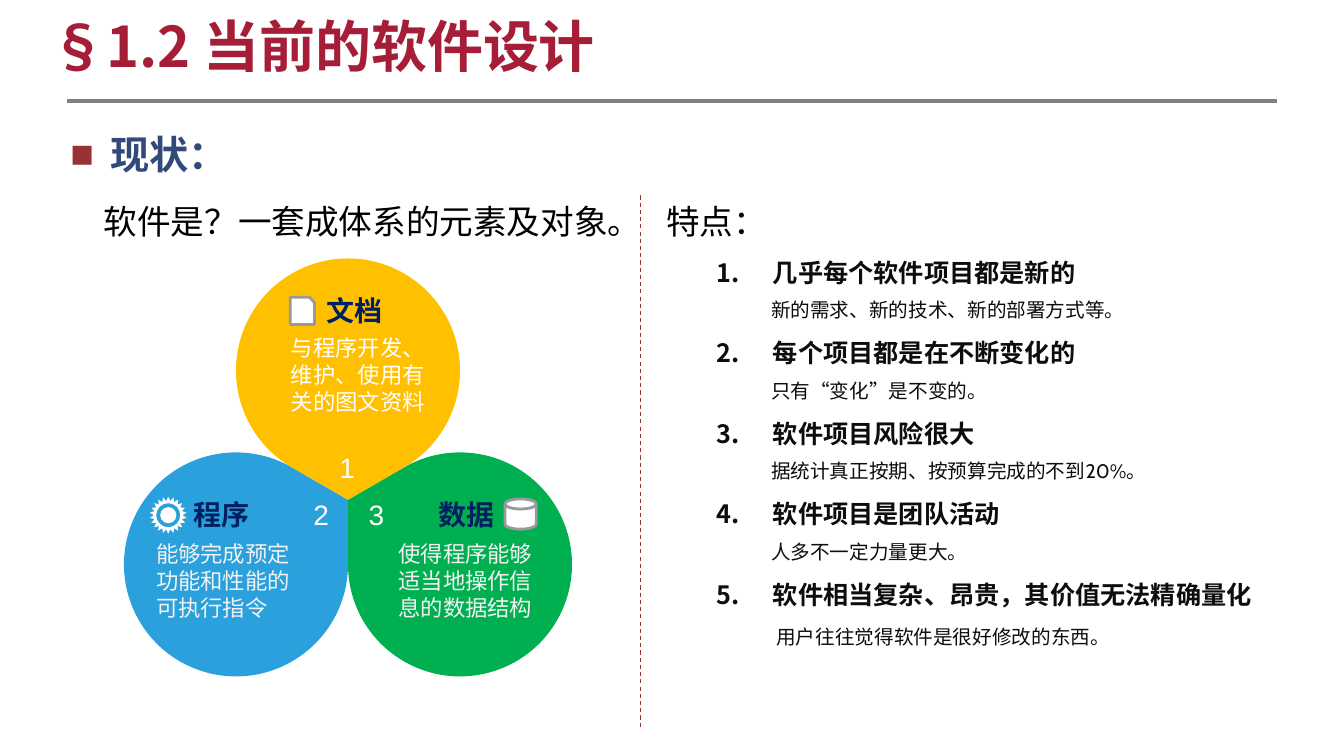
from math import cos, radians, sin, tan

from pptx import Presentation
from pptx.dml.color import RGBColor
from pptx.enum.dml import MSO_LINE
from pptx.enum.shapes import MSO_CONNECTOR, MSO_SHAPE
from pptx.oxml.ns import qn
from pptx.oxml.xmlchemy import OxmlElement
from pptx.util import Pt

STRAIGHT = MSO_CONNECTOR.STRAIGHT
DASH = MSO_LINE.DASH
OVAL = MSO_SHAPE.OVAL
DISK = MSO_SHAPE.FLOWCHART_MAGNETIC_DISK
CARD = MSO_SHAPE.FLOWCHART_CARD

WHITE = RGBColor(0xFF, 0xFF, 0xFF)
PALE = RGBColor(0xF2, 0xF2, 0xF2)
BLACK = RGBColor(0x00, 0x00, 0x00)
INK = RGBColor(0x0D, 0x0D, 0x0D)
GREY = RGBColor(0x80, 0x80, 0x80)
ICON_GREY = RGBColor(0x99, 0x99, 0x99)
RED = RGBColor(0xA6, 0x1D, 0x38)
BRICK = RGBColor(0x99, 0x33, 0x33)
SLATE = RGBColor(0x32, 0x4A, 0x7A)
NAVY = RGBColor(0x00, 0x20, 0x60)
GREEN = RGBColor(0x00, 0xB0, 0x50)
BLUE = RGBColor(0x2A, 0xA1, 0xDC)
AMBER = RGBColor(0xFF, 0xC0, 0x00)

SANS = "Noto Sans CJK SC"
SERIF = "Times New Roman"

deck = Presentation()
deck.slide_width, deck.slide_height = Pt(960), Pt(540)
page = deck.slides.add_slide(deck.slide_layouts[6])


def add_box(left, top, width, height):
    """Add a wrapping text box and return its text frame."""
    frame = page.shapes.add_textbox(Pt(left), Pt(top), Pt(width), Pt(height)).text_frame
    frame.word_wrap = True
    return frame


def write(para, text, size, colour, spacing, font=SANS, bold=False):
    """Write one run into a paragraph with a fixed line height."""
    para.line_spacing = Pt(spacing)
    span = para.add_run()
    span.text = text
    span.font.size = Pt(size)
    span.font.bold = bold
    span.font.name = font
    span.font.color.rgb = colour
    east_asian = OxmlElement("a:ea")
    east_asian.set("typeface", SANS)
    span.font._element.append(east_asian)


# Rules
for x1, y1, x2, y2, colour, width, dash in [
    (48, 72, 912, 72, GREY, 3, None),
    (457.3, 139.6, 457.3, 519, BRICK, 0.75, DASH),
]:
    rule = page.shapes.add_connector(STRAIGHT, Pt(x1), Pt(y1), Pt(x2), Pt(y2))
    rule.line.color.rgb = colour
    rule.line.width = Pt(width)
    if dash:
        rule.line.dash_style = dash
    rule._element.spPr.append(OxmlElement("a:effectLst"))

# Headings
title = add_box(29, 20.5, 577, 52.5)
write(title.paragraphs[0], "§1.2 当前的软件设计", 40, RED, 32, bold=True)

status = add_box(43.2, 73, 864, 412).paragraphs[0]
properties = status._p.get_or_add_pPr()
properties.set("marL", str(Pt(28.8)))
properties.set("indent", str(Pt(-28.8)))
bullet_colour = OxmlElement("a:buClr")
bullet_rgb = OxmlElement("a:srgbClr")
bullet_rgb.set("val", str(BRICK))
bullet_colour.append(bullet_rgb)
bullet_font = OxmlElement("a:buFont")
bullet_font.set("typeface", "Arial")
bullet = OxmlElement("a:buChar")
bullet.set("char", "■")
for part in (bullet_colour, bullet_font, bullet):
    properties.append(part)
write(status, "现状：", 28, SLATE, 50, bold=True)

write(add_box(67, 125, 413, 133).paragraphs[0],
      "软件是？一套成体系的元素及对象。", 24, BLACK, 43.8)

# Three touching circles, each drawn out to a point at the shared hub,
# and a gear with a round hole; round parts are Bezier curves
HUB_X, HUB_Y, RADIUS = 248.6, 357, 80
GEAR_X, GEAR_Y, TEETH = 120.2, 368, 22
REACH = RADIUS / cos(radians(30))
rim = []
for step in range(2 * TEETH):
    reach, angle = (10.2, 13.2)[step % 2], radians(180 / TEETH * step)
    rim.append((GEAR_X + reach * cos(angle), GEAR_Y + reach * sin(angle)))

rounds = [
    (HUB_X + REACH * cos(radians(direction)), HUB_Y + REACH * sin(radians(direction)),
     RADIUS, [direction + turn for turn in (-150, -90, 0, 90, 150)],
     [(HUB_X, HUB_Y)], [], fill)
    for direction, fill in [(30, GREEN), (150, BLUE), (270, AMBER)]
]
rounds.append((GEAR_X, GEAR_Y, 8.6, [360, 270, 180, 90, 0], [], rim, WHITE))

for center_x, center_y, radius, angles, tail, outer, fill in rounds:
    arc = [(center_x + radius * cos(radians(angles[0])),
            center_y + radius * sin(radians(angles[0])))]
    for start, end in zip(angles, angles[1:]):
        pull = 4 / 3 * tan(radians(end - start) / 4)
        for angle, along in [(start, pull), (end, -pull), (end, 0)]:
            x, y = cos(radians(angle)), sin(radians(angle))
            arc.append((center_x + radius * (x - along * y),
                        center_y + radius * (y + along * x)))
    contours = [[(Pt(x), Pt(y)) for x, y in contour]
                for contour in (outer, arc + tail) if contour]
    builder = page.shapes.build_freeform(*contours[0][0], scale=1.0)
    builder.add_line_segments(contours[0][1:], close=True)
    for contour in contours[1:]:
        builder.move_to(*contour[0])
        builder.add_line_segments(contour[1:], close=True)
    outline = builder.convert_to_shape()
    segments = list(outline._element.iter(qn("a:lnTo")))
    first = max(len(outer) - 1, 0)
    for index in range(first, first + len(arc) - 1, 3):
        curve = OxmlElement("a:cubicBezTo")
        segments[index].addprevious(curve)
        for segment in segments[index:index + 3]:
            curve.append(segment[0])
            segment.getparent().remove(segment)
    outline.shadow.inherit = False
    outline.fill.solid()
    outline.fill.fore_color.rgb = fill
    outline.line.fill.background()

# Icons
for kind, left, top, width, height, bordered in [
    (OVAL, GEAR_X - 5.8, GEAR_Y - 5.8, 11.6, 11.6, False),
    (DISK, 360.7, 356.4, 22.3, 21.6, True),
    (CARD, 207.4, 212.4, 17.3, 19.4, True),
]:
    icon = page.shapes.add_shape(kind, Pt(left), Pt(top), Pt(width), Pt(height))
    icon.shadow.inherit = False
    icon.fill.solid()
    icon.fill.fore_color.rgb = WHITE
    if bordered:
        icon.line.color.rgb = ICON_GREY
        icon.line.width = Pt(2)
    else:
        icon.line.fill.background()
    if kind == CARD:
        icon._element.spPr.find(qn("a:xfrm")).set("flipH", "1")

# Circle texts
for label, left, top, width, colour, font, bold in [
    ("1", 235.4, 318, 34.6, WHITE, "Arial", False),
    ("2", 216.7, 352, 34.6, WHITE, "Arial", False),
    ("3", 256.3, 352, 34.6, WHITE, "Arial", False),
    ("文档", 226, 206, 116, NAVY, SERIF, True),
    ("程序", 131, 352, 69, NAVY, SERIF, True),
    ("数据", 306, 352, 116, NAVY, SERIF, True),
]:
    write(add_box(left, top, width, 31.7).paragraphs[0], label, 20, colour, 24, font, bold)

for text, left, top, width, height, colour in [
    ("与程序开发、维护、使用有关的图文资料", 200.7, 235.2, 111, 65.5, WHITE),
    ("能够完成预定功能和性能的可执行指令", 104.4, 382.2, 119.5, 54, PALE),
    ("使得程序能够适当地操作信息的数据结构", 277.5, 382.2, 119.5, 54, PALE),
]:
    write(add_box(left, top, width, height).paragraphs[0], text, 16, colour, 19.2, SERIF)

# Features
features = [
    ("几乎每个软件项目都是新的", "新的需求、新的技术、新的部署方式等。"),
    ("每个项目都是在不断变化的", "只有“变化”是不变的。"),
    ("软件项目风险很大", "据统计真正按期、按预算完成的不到20%。"),
    ("软件项目是团队活动", "人多不一定力量更大。"),
    ("软件相当复杂、昂贵，其价值无法精确量化", "用户往往觉得软件是很好修改的东西。"),
]
frame = add_box(468.7, 125, 455, 384)
write(frame.paragraphs[0], "特点：", 24, BLACK, 43.8)
for heading, detail in features:
    para = frame.add_paragraph()
    para.level = 1
    properties = para._p.get_or_add_pPr()
    properties.set("marL", str(Pt(76.3)))
    properties.set("indent", str(Pt(-40.3)))
    number = OxmlElement("a:buAutoNum")
    number.set("type", "arabicPeriod")
    properties.append(number)
    write(para, heading, 18, INK, 32.8, "Cabin", True)

    para = frame.add_paragraph()
    para.level = 2
    is_last = heading == features[-1][0]
    properties = para._p.get_or_add_pPr()
    properties.set("marL", str(Pt(78.7 if is_last else 75)))
    properties.set("indent", "0")
    if is_last:
        para.space_before = Pt(3.2)
    write(para, detail, 14, INK, 24.7, "Cabin")

deck.save("out.pptx")
